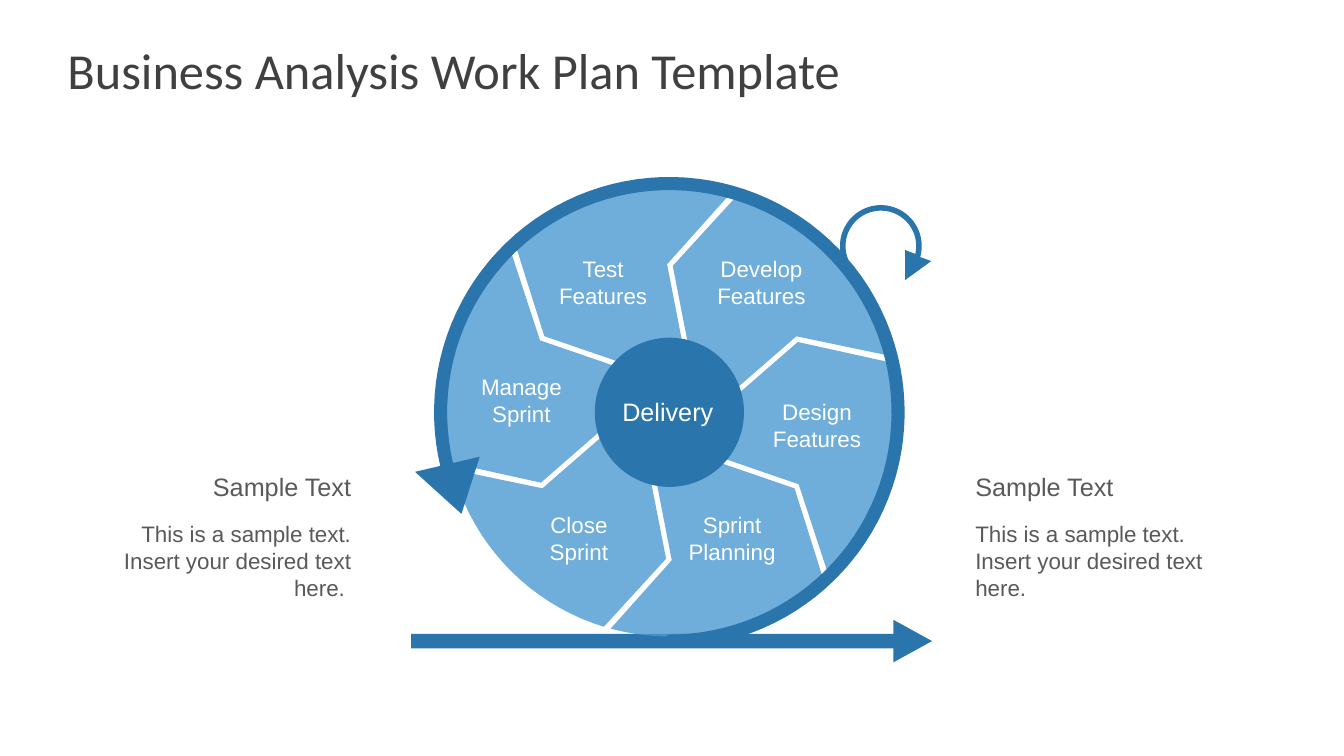
from dataclasses import dataclass
from math import cos, radians, sin

from lxml.etree import SubElement
from pptx import Presentation
from pptx.dml.color import RGBColor
from pptx.enum.shapes import MSO_SHAPE
from pptx.enum.text import MSO_ANCHOR, MSO_AUTO_SIZE, PP_ALIGN
from pptx.oxml.ns import qn
from pptx.util import Cm, Pt

DARK_BLUE = RGBColor(0x2A, 0x75, 0xAC)
LIGHT_BLUE = RGBColor(0x4B, 0x99, 0xD3)
TITLE_GREY = RGBColor(0x40, 0x40, 0x40)
TEXT_GREY = RGBColor(0x59, 0x59, 0x59)
WHITE = RGBColor(0xFF, 0xFF, 0xFF)

Point = tuple[float, float]
WHEEL: Point = (16.87, 10.39)
LOOP: Point = (22.2, 6.2)
HUB_RADIUS = 1.88
PETAL_STEP = 60


@dataclass(frozen=True)
class Label:
    lines: tuple[str, ...]
    center_x: float
    top: float
    size: int = 16


@dataclass(frozen=True)
class SideNote:
    heading: str
    body: str
    left: float
    width: float
    align: PP_ALIGN


LABELS = [
    Label(("Delivery",), 16.83, 9.86, 18),
    Label(("Close", "Sprint"), 14.59, 12.75),
    Label(("Sprint", "Planning"), 18.45, 12.75),
    Label(("Design", "Features"), 20.59, 9.91),
    Label(("Develop", "Features"), 19.19, 6.3),
    Label(("Test", "Features"), 15.2, 6.3),
    Label(("Manage", "Sprint"), 13.14, 9.27),
]
NOTES = [
    SideNote("Sample Text", "This is a sample text. Insert your desired text here. ",
             2.62, 6.48, PP_ALIGN.RIGHT),
    SideNote("Sample Text", "This is a sample text. Insert your desired text here.",
             24.33, 6.88, PP_ALIGN.LEFT),
]


def polar(center: Point, radius: float, angle: float) -> Point:
    """Point at an angle in degrees, counter-clockwise from the right."""
    a = radians(angle)
    return center[0] + radius * cos(a), center[1] - radius * sin(a)


def arc(center: Point, radius: float, start: float, end: float) -> list[Point]:
    steps = max(2, round(abs(end - start) / 3))
    return [polar(center, radius, start + (end - start) * i / steps)
            for i in range(steps + 1)]


def paint(sp, color: RGBColor, alpha: int = 100) -> None:
    sp.shadow.inherit = False
    sp.line.fill.background()
    sp.fill.solid()
    sp.fill.fore_color.rgb = color
    if alpha < 100:
        clr = sp.fill._xPr.find(qn("a:solidFill"))[0]
        SubElement(clr, qn("a:alpha")).set("val", str(alpha * 1000))


def add_outline(s, points: list[Point], color: RGBColor, alpha: int = 100) -> None:
    emu = [(Cm(x), Cm(y)) for x, y in points]
    builder = s.shapes.build_freeform(*emu[0])
    builder.add_line_segments(emu[1:], close=True)
    paint(builder.convert_to_shape(), color, alpha)


def add_petal(s, turn: float) -> None:
    add_outline(s, [
        polar(WHEEL, 3.73, turn + 150.9),
        *arc(WHEEL, 1.85, turn + 140.3, turn + 195.8),
        polar(WHEEL, 3.69, turn + 208.7),
        *arc(WHEEL, 5.65, turn + 193, turn + 134.8),
    ], LIGHT_BLUE, 80)


def add_text(s, lines: tuple[str, ...], left: float, top: float, width: float, height: float,
             size: int, color: RGBColor, align: PP_ALIGN, wrap: bool) -> None:
    tf = s.shapes.add_textbox(Cm(left), Cm(top), Cm(width), Cm(height)).text_frame
    tf.word_wrap = wrap
    tf.auto_size = MSO_AUTO_SIZE.SHAPE_TO_FIT_TEXT
    for i, line in enumerate(lines):
        p = tf.paragraphs[0] if i == 0 else tf.add_paragraph()
        p.alignment = align
        add_run(p, line, "Arial", size, color)


def add_run(p, text: str, font: str, size: int, color: RGBColor) -> None:
    r = p.add_run()
    r.text = text
    r.font.name = font
    r.font.size = Pt(size)
    r.font.color.rgb = color


def add_title(s, text: str) -> None:
    title = s.shapes.title
    title.left, title.top, title.width, title.height = Cm(1.7), Cm(0.76), Cm(30.48), Cm(1.98)
    tf = title.text_frame
    tf.auto_size = MSO_AUTO_SIZE.NONE
    tf.vertical_anchor = MSO_ANCHOR.MIDDLE
    tf.margin_left = tf.margin_right = 0
    tf.margin_top = tf.margin_bottom = Cm(0.18)
    p = tf.paragraphs[0]
    p.alignment = PP_ALIGN.LEFT
    add_run(p, text, "Calibri", 36, TITLE_GREY)


def add_wheel(s) -> None:
    for i in range(6):
        add_petal(s, i * PETAL_STEP)
    add_outline(s, arc(WHEEL, 5.93, -90.5, 196.7) + arc(WHEEL, 5.6, 196.1, -90.5), DARK_BLUE)
    add_outline(s, [(12.09, 11.51), (11.63, 12.95), (10.46, 11.89)], DARK_BLUE)
    loop_head = [(22.81, 6.3), (22.81, 7.06), (23.47, 6.58)]
    add_outline(s, arc(LOOP, 0.89, 224, -13) + loop_head + arc(LOOP, 1.03, -15.8, 227),
                DARK_BLUE)
    hub = s.shapes.add_shape(MSO_SHAPE.OVAL, Cm(WHEEL[0] - HUB_RADIUS), Cm(WHEEL[1] - HUB_RADIUS),
                             Cm(2 * HUB_RADIUS), Cm(2 * HUB_RADIUS))
    paint(hub, DARK_BLUE)


def main() -> None:
    prs = Presentation()
    prs.slide_width, prs.slide_height = Cm(33.87), Cm(19.05)
    s = prs.slides.add_slide(prs.slide_layouts[5])
    add_title(s, "Business Analysis Work Plan Template")

    arrow = s.shapes.add_shape(MSO_SHAPE.RIGHT_ARROW, Cm(10.46), Cm(15.74), Cm(13.23), Cm(1.08))
    arrow.left, arrow.top, arrow.width, arrow.height = Cm(10.36), Cm(15.62), Cm(13.13), Cm(1.07)
    arrow.adjustments[0], arrow.adjustments[1] = 0.34, 0.91
    paint(arrow, DARK_BLUE)
    add_wheel(s)

    for note in NOTES:
        add_text(s, (note.body,), note.left, 12.98, note.width, 2.31, 16, TEXT_GREY,
                 note.align, True)
        add_text(s, (note.heading,), note.left, 11.76, note.width, 1.02, 18, TEXT_GREY,
                 note.align, True)
    for label in LABELS:
        add_text(s, label.lines, label.center_x - 1.4, label.top, 2.8,
                 1.02 if len(label.lines) == 1 else 1.63, label.size, WHITE,
                 PP_ALIGN.CENTER, False)
    prs.save("out.pptx")


if __name__ == "__main__":
    main()
